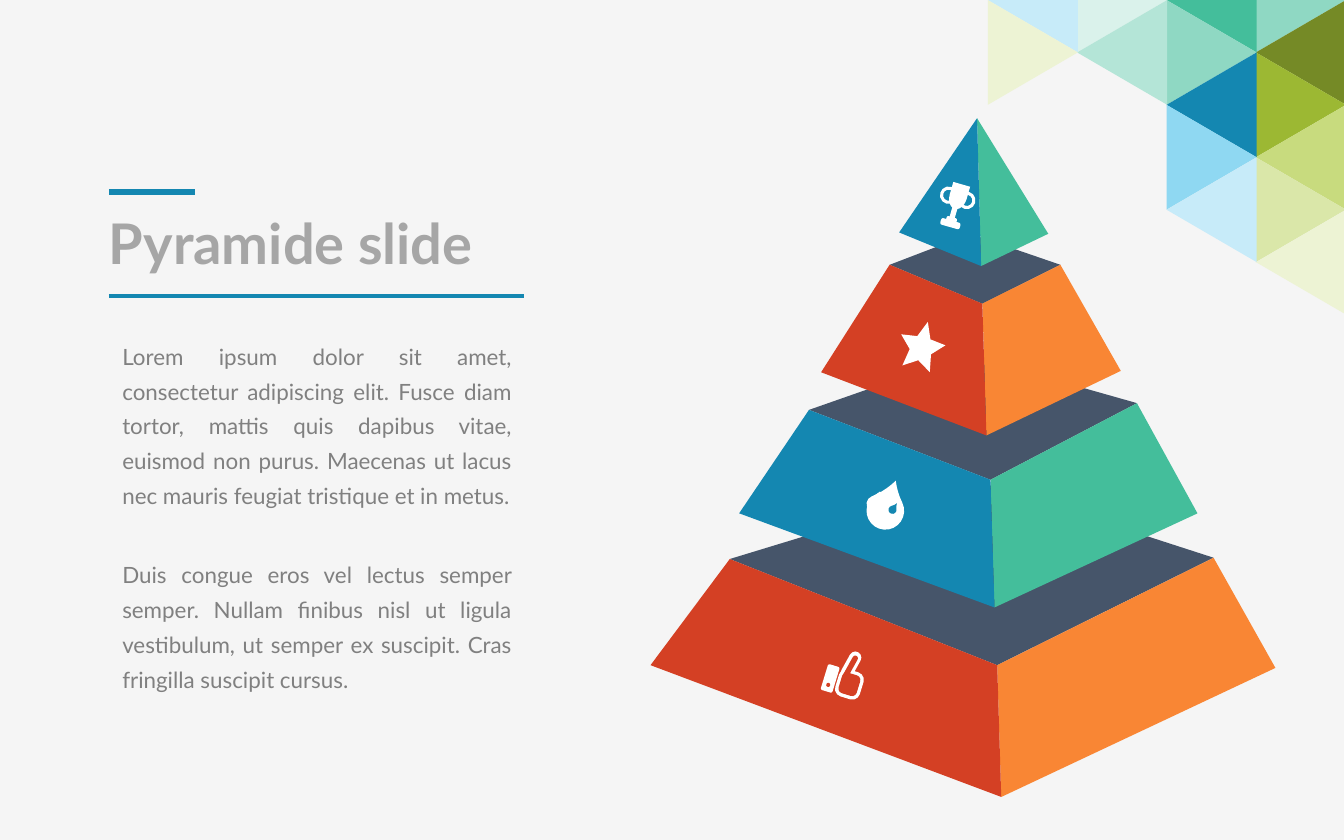
from math import cos, radians, sin

from lxml import etree
from pptx import Presentation
from pptx.dml.color import RGBColor as RGB
from pptx.enum.shapes import MSO_CONNECTOR as LINK, MSO_SHAPE as SHAPE
from pptx.enum.text import MSO_ANCHOR as ANCHOR, MSO_AUTO_SIZE as FIT, PP_ALIGN as ALIGN
from pptx.oxml.ns import qn
from pptx.util import Inches, Pt

HUES = {
    "back": "F5F5F5", "white": "FFFFFF", "title": "A6A6A6", "text": "808080",
    "slate": "46556A", "blue": "1487B1", "red": "D44024", "orange": "F98634",
    "green": "44BE9B", "green2": "8FD8C3", "green3": "B4E5D7", "green4": "DAF2EB",
    "olive": "758A26", "lime": "9CB833", "lime2": "C8DB7E", "lime3": "DAE7A9",
    "lime4": "EDF3D4", "sky": "8FD8F2", "sky2": "C7EBF9",
}


def paint(shape, hue):
    shape.shadow.inherit = False
    shape.fill.solid()
    shape.fill.fore_color.rgb = RGB.from_string(HUES[hue])
    shape.line.fill.background()


def place(kind, mid, size, turn, hue):
    """Add a preset shape by its centre, size and rotation."""
    (x, y), (wide, high) = mid, size
    shape = slide.shapes.add_shape(
        kind, Inches(x - wide / 2), Inches(y - high / 2), Inches(wide), Inches(high))
    shape.rotation = turn
    paint(shape, hue)
    return shape


deck = Presentation()
deck.slide_width, deck.slide_height = Inches(10), Inches(6.25)
slide = deck.slides.add_slide(deck.slide_layouts[1])
slide.background.fill.solid()
slide.background.fill.fore_color.rgb = RGB.from_string(HUES["back"])

# Corner mosaic: columns run from right to left, triangles alternate direction
mosaic = [
    ["green2", "olive", "lime", "lime2", "lime3", "lime4"],
    ["green", "green2", "blue", "sky", "sky2"],
    ["green4", "green3"],
    ["sky2", "lime4"],
]
for col, hues in enumerate(mosaic):
    for row, hue in enumerate(hues):
        mid = (9.68 - 0.665 * col, 0.39 * row)
        turn = 270 if (col + row) % 2 else 90
        place(SHAPE.ISOSCELES_TRIANGLE, mid, (0.78, 0.67), turn, hue)

# Rules around the title
for right, top, width in [(3.9, 2.2, 2), (1.45, 1.43, 3)]:
    rule = slide.shapes.add_connector(
        LINK.STRAIGHT, Inches(0.81), Inches(top), Inches(right), Inches(top))
    rule.line.color.rgb = RGB.from_string(HUES["blue"])
    rule.line.width = Pt(width)
    etree.SubElement(rule._element.spPr, qn("a:effectLst"))

# Title and body text
story = [
    "Lorem ipsum dolor sit amet, consectetur adipiscing elit. Fusce diam tortor, "
    "mattis quis dapibus vitae, euismod non purus. Maecenas ut lacus nec mauris "
    "feugiat tristique et in metus.",
    "Duis congue eros vel lectus semper semper. Nullam finibus nisl ut ligula "
    "vestibulum, ut semper ex suscipit. Cras fringilla suscipit cursus.",
]
title, body = slide.placeholders
blocks = [
    (title, ["Pyramide slide"], (0.81, 1.61, 3.1, 0.39), (0, 0.04), ANCHOR.MIDDLE,
     {"alignment": ALIGN.LEFT, "line_spacing": 1.0},
     {"name": "Lato", "size": Pt(30), "bold": True}, "title"),
    (body, story, (0.81, 2.44, 3.1, 2.8), (0.1, 0.05), ANCHOR.TOP,
     {"alignment": ALIGN.JUSTIFY, "line_spacing": 1.3},
     {"name": "Lato", "size": Pt(12), "bold": False}, "text"),
]
for box, texts, area, (side, edge), anchor, layout, face, hue in blocks:
    box.left, box.top, box.width, box.height = map(Inches, area)
    frame = box.text_frame
    frame.text = "\n".join(texts)
    form = {"word_wrap": True, "auto_size": FIT.NONE, "vertical_anchor": anchor,
            "margin_left": Inches(side), "margin_right": Inches(side),
            "margin_top": Inches(edge), "margin_bottom": Inches(edge)}
    for key, value in form.items():
        setattr(frame, key, value)
    for order, para in enumerate(frame.paragraphs):
        props = para._p.get_or_add_pPr()
        props.set("marL", "0")
        props.set("indent", "0")
        etree.SubElement(props, qn("a:buNone"))
        for key, value in layout.items():
            setattr(para, key, value)
        para.space_before = Pt(23.6 if order else 0)
        for key, value in face.items():
            setattr(para.font, key, value)
        para.font.color.rgb = RGB.from_string(HUES[hue])

# Icons: preset parts as kind, offset from the icon centre, size, turn, hue, adjustment
BOX, PILL, DISC = SHAPE.RECTANGLE, SHAPE.ROUNDED_RECTANGLE, SHAPE.OVAL
thumb = [
    (PILL, (0.05, 0.06), (0.19, 0.21), 0, "white", 0.3),     # fist
    (PILL, (0.02, -0.08), (0.09, 0.22), 12, "white", 0.5),   # thumb
    (PILL, (0.05, 0.06), (0.14, 0.16), 0, "red", 0.25),      # fist inside
    (PILL, (0.02, -0.07), (0.04, 0.18), 12, "red", 0.5),     # thumb inside
    (PILL, (-0.1, 0.06), (0.09, 0.2), 0, "white", 0.15),     # cuff
    (DISC, (-0.1, 0.11), (0.03, 0.03), 0, "red", None),      # button
]
flame = [
    (SHAPE.TEAR, (0.01, 0.05), (0.28, 0.28), -40, "white", 1.2),
    (SHAPE.TEAR, (-0.08, 0.02), (0.12, 0.12), -35, "white", 1.2),
    (SHAPE.TEAR, (0.06, 0.03), (0.06, 0.06), -25, "blue", 1.4),
]
star = [(SHAPE.STAR_5_POINT, (0, 0), (0.34, 0.36), 0, "white", 0.24)]
trophy = [
    (SHAPE.DONUT, (-0.07, -0.06), (0.13, 0.13), 0, "white", 0.18),    # handles
    (SHAPE.DONUT, (0.07, -0.06), (0.13, 0.13), 0, "white", 0.18),
    (SHAPE.FLOWCHART_DELAY, (0, -0.07), (0.19, 0.13), 90, "white", None),  # cup
    (BOX, (0, 0.07), (0.04, 0.12), 0, "white", None),                 # stem
    (PILL, (0, 0.11), (0.08, 0.04), 0, "white", 0.3),                 # foot
    (PILL, (0, 0.14), (0.15, 0.05), 0, "white", 0.3),
]

# Pyramid from the base up: every face is spanned by named corners of its level
faces = {
    "lid": ["left", "back", "right", "front"],
    "east": ["front", "right", "right low", "front low"],
    "west": ["left", "front", "front low", "left low"],
}
names = ["left", "back", "right", "front", "left low", "right low", "front low"]
apex = (7.27, 0.88)
levels = [
    ([(5.43, 4.16), (7.3, 3.59), (9.03, 4.15), (7.42, 4.95),
      (4.84, 4.95), (9.49, 4.97), (7.45, 5.93)],
     ("orange", "red"), thumb, (6.29, 5.02), 17),
    ([(6.02, 3.05), (7.19, 2.64), (8.46, 3), (7.37, 3.57),
      (5.5, 3.82), (8.91, 3.82), (7.4, 4.52)],
     ("green", "blue"), flame, (6.59, 3.75), 14),
    ([(6.62, 1.97), (7.22, 1.74), (7.89, 1.97), (7.31, 2.26),
      (6.11, 2.77), (8.34, 2.76), (7.34, 3.24)],
     ("orange", "red"), star, (6.86, 2.57), 14),
    ([apex] * 4 + [(6.69, 1.73), (7.8, 1.74), (7.3, 1.98)],
     ("green", "blue"), trophy, (7.11, 1.53), 16),
]
for points, sides, icon, (x, y), tilt in levels:
    corner = dict(zip(names, points))
    for (part, ends), hue in zip(faces.items(), ("slate", *sides)):
        if part == "lid" and corner["back"] == apex:
            continue
        # The tip repeats its apex, so keep each corner once
        start, *rest = dict.fromkeys(corner[end] for end in ends)
        pen = slide.shapes.build_freeform(*map(Inches, start))
        pen.add_line_segments([tuple(map(Inches, spot)) for spot in rest], close=True)
        paint(pen.convert_to_shape(), hue)

    # Swing each part of the icon about the icon centre
    c, s = cos(radians(tilt)), sin(radians(tilt))
    for kind, (dx, dy), size, turn, hue, bend in icon:
        mid = (x + dx * c - dy * s, y + dx * s + dy * c)
        shape = place(kind, mid, size, tilt + turn, hue)
        if bend is not None:
            shape.adjustments[0] = bend

deck.save("out.pptx")
